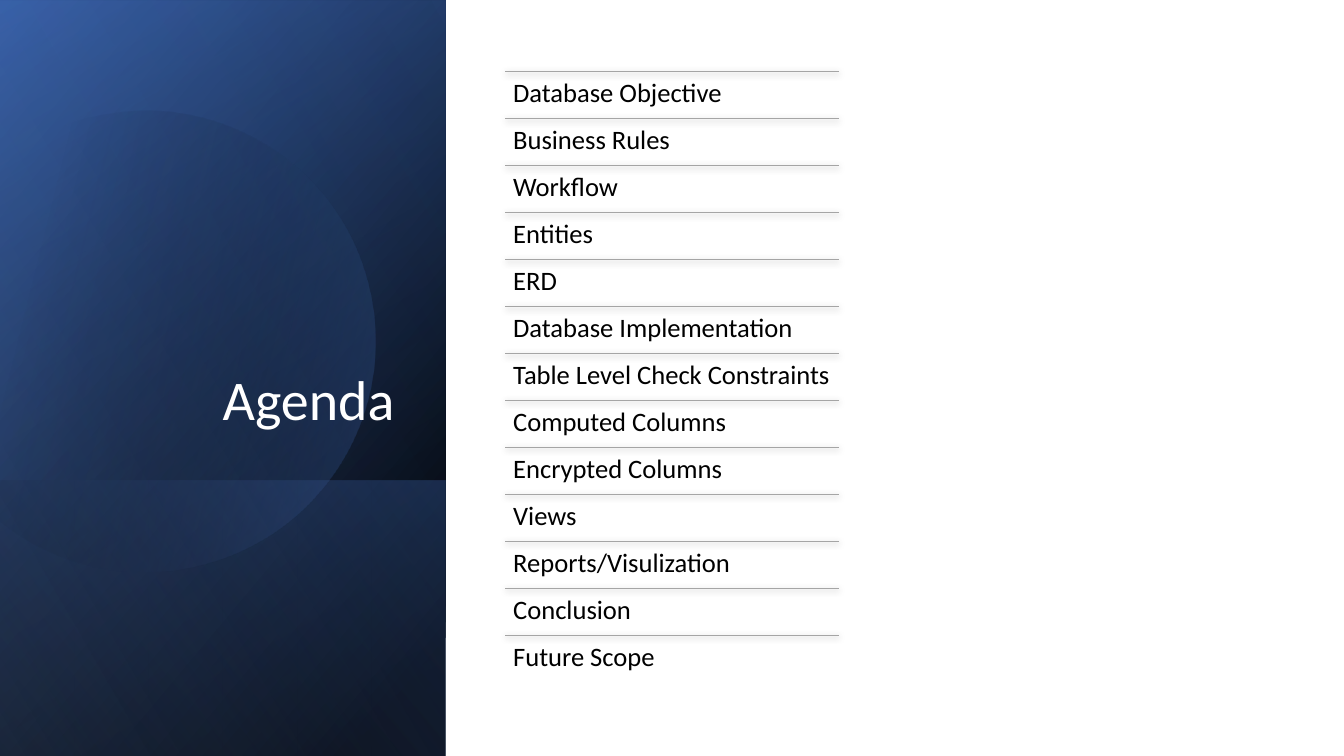
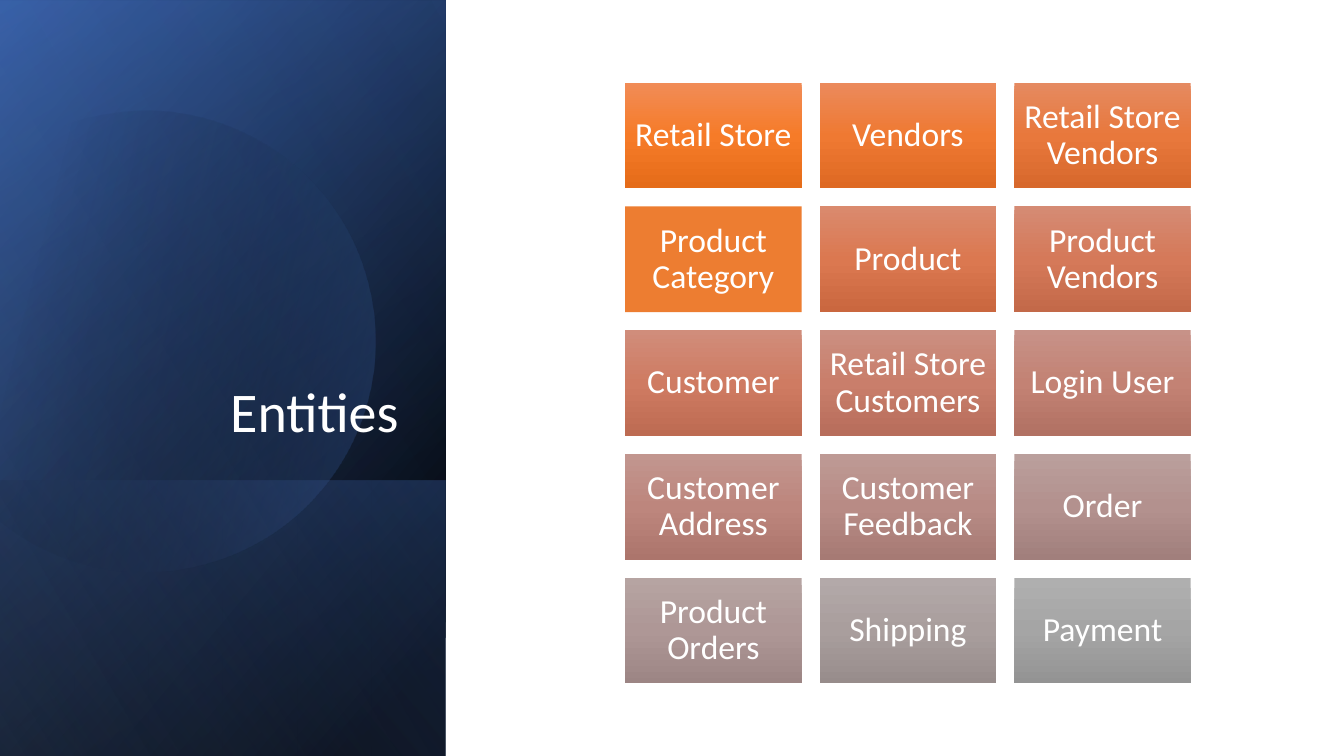
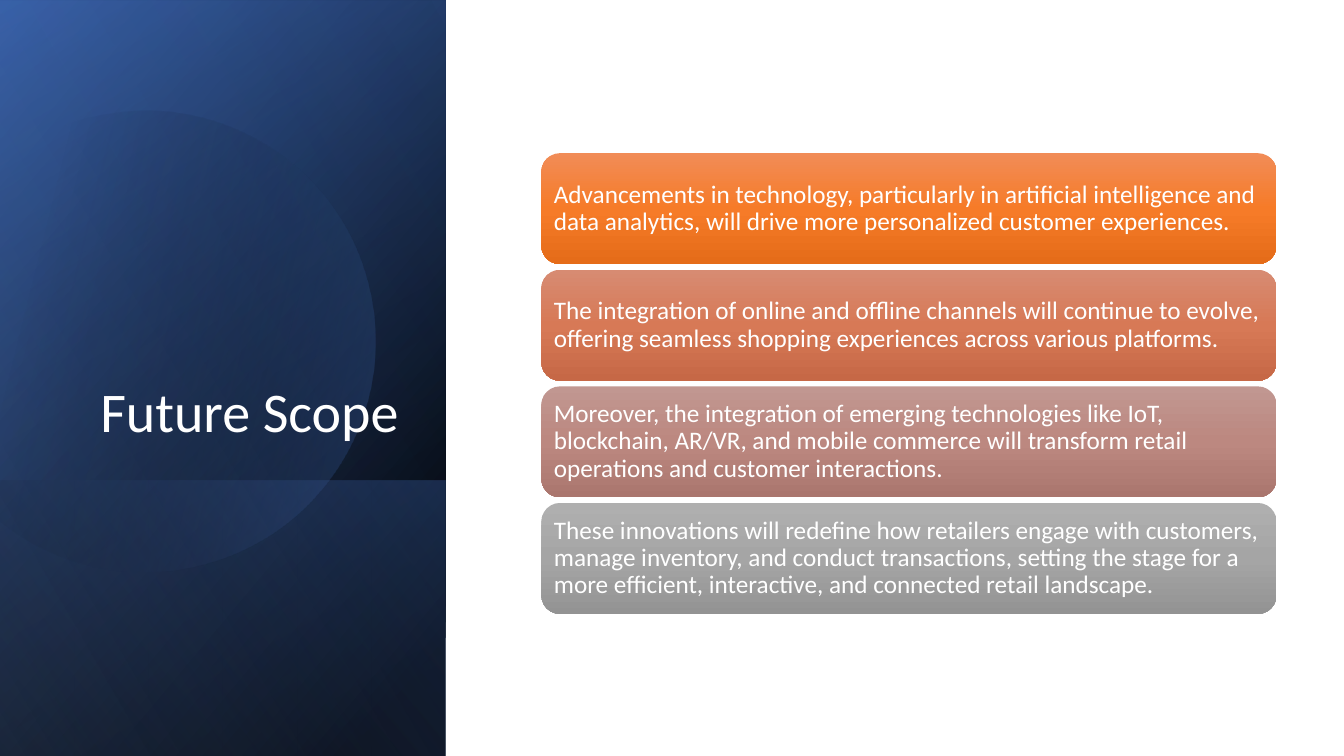
import math
from lxml import etree
from pptx import Presentation
from pptx import util as u
from pptx.dml.color import RGBColor
from pptx.enum import shapes, text
from pptx.oxml import ns

Inches = u.Inches
RECT = shapes.MSO_SHAPE.RECTANGLE
ROUND = shapes.MSO_SHAPE.ROUNDED_RECTANGLE
LEFT, MID, RIGHT = text.PP_ALIGN.LEFT, text.PP_ALIGN.CENTER, text.PP_ALIGN.RIGHT
TOP, CENTER, BOTTOM = (text.MSO_ANCHOR.TOP, text.MSO_ANCHOR.MIDDLE,
                       text.MSO_ANCHOR.BOTTOM)
FONT = "Calibri"
WHITE, BLACK, BLUE, GREY = "FFFFFF", "000000", "4472C4", "A5A5A5"


def paint(shape, stops, angle=90):
    """Fill with (position, colour, opacity) stops; a single stop is solid."""
    shape.shadow.inherit = False
    shape.line.fill.background()
    if len(stops) == 1:
        shape.fill.solid()
        shape.fill.fore_color.rgb = RGBColor.from_string(stops[0][1])
        return
    shape.fill.gradient()
    grad = shape._element.spPr.find(ns.qn("a:gradFill"))
    ramp = grad.find(ns.qn("a:gsLst"))
    for old in list(ramp):
        ramp.remove(old)
    for place, color, alpha in stops:
        stop = etree.SubElement(ramp, ns.qn("a:gs"), pos=str(place * 1000))
        tint = etree.SubElement(stop, ns.qn("a:srgbClr"), val=color)
        if alpha < 100:
            etree.SubElement(tint, ns.qn("a:alpha"), val=str(alpha * 1000))
    grad.find(ns.qn("a:lin")).set("ang", str(angle * 60000))


def write(shape, words, size, color, align, anchor, side, edge):
    """Put one paragraph in a shape; side and edge are insets in inches."""
    frame = shape.text_frame
    frame.word_wrap = True
    frame.vertical_anchor = anchor
    frame.margin_left = frame.margin_right = Inches(side)
    frame.margin_top = frame.margin_bottom = Inches(edge)
    para = frame.paragraphs[0]
    para.text = words
    para.alignment = align
    para.line_spacing = 0.9
    para.font.name = FONT
    para.font.size = u.Pt(size)
    para.font.color.rgb = RGBColor.from_string(color)


deck = Presentation()
deck.slide_width, deck.slide_height = Inches(13.33), Inches(7.5)

# Shared side panel: bands turned by 90 degrees, with a disc before the last
bands = [
    (-1.54, 1.54, 7.5, 50, [(8, BLACK, 100), (100, "2F5597", 100)]),
    (-1.54, 1.55, 7.5, 30, [(0, BLACK, 0), (99, BLUE, 46)]),
    (0.84, 3.93, 2.74, 130, [(2, BLUE, 29), (100, BLACK, 30)]),
    (-1.54, 1.54, 7.5, 120, [(0, BLACK, 0), (99, "8FAADC", 11)]),
]

# Disc outline as it lies on the slide; its frame is tilted by TILT degrees
TILT = -16.1
left, top, wide, high = 0.55 * -1, 1.06, 4.27, 4.57
disc = [
    ("moveTo", [(1.49, 1.1)]),
    ("cubicBezTo", [(2.46, 1.12), (3.35, 1.77), (3.63, 2.75)]),
    ("cubicBezTo", [(3.98, 3.97), (3.28, 5.23), (2.07, 5.58)]),
    ("cubicBezTo", [(1.31, 5.8), (0.53, 5.61), (-0.03, 5.14)]),
    ("lnTo", [(-0.15, 5.03)]),
    ("lnTo", [(-0.15, 1.75)]),
    ("lnTo", [(0, 1.61)]),
    ("cubicBezTo", [(0.23, 1.42), (0.5, 1.28), (0.8, 1.19)]),
    ("cubicBezTo", [(1.03, 1.13), (1.26, 1.1), (1.49, 1.1)]),
    ("close", []),
]
cos, sin = math.cos(math.radians(TILT)), math.sin(math.radians(TILT))
corners = [(Inches(x), Inches(y)) for x, y in
           [(left, top), (left + wide, top), (left + wide, top + high),
            (left, top + high)]]

titles = [
    ("Agenda", (0.51, 0.64, 3.5, 3.7)),
    ("Entities", (0.64, 1.84, 3.41, 2.62)),
    ("Future Scope", (0.64, 1.84, 3.41, 2.62)),
]

pages = []
for title, box in titles:
    page = deck.slides.add_slide(deck.slide_layouts[6])
    pages.append(page)
    for num, (x, y, span, angle, stops) in enumerate(bands):
        if num == 3:
            pen = page.shapes.build_freeform(*corners[0])
            pen.add_line_segments(corners[1:], close=True)
            moon = pen.convert_to_shape()
            moon.rotation = TILT
            # swap the straight sides for the curves, turned into the frame
            track = next(moon._element.iter(ns.qn("a:path")))
            for old in list(track):
                track.remove(old)
            for kind, points in disc:
                move = etree.SubElement(track, ns.qn("a:" + kind))
                for px, py in points:
                    dx, dy = px - left - wide / 2, py - top - high / 2
                    etree.SubElement(
                        move, ns.qn("a:pt"),
                        x=str(Inches(wide / 2 + dx * cos + dy * sin)),
                        y=str(Inches(high / 2 - dx * sin + dy * cos)))
            paint(moon, [(29, BLACK, 0), (100, BLUE, 43)], 30)
        band = page.shapes.add_shape(RECT, Inches(x), Inches(y),
                                     Inches(span), Inches(4.42))
        band.rotation = 90
        band._element.spPr.find(ns.qn("a:xfrm")).set("flipH", "1")
        paint(band, stops, angle)
    head = page.shapes.add_textbox(*map(Inches, box))
    write(head, title, 40, WHITE, RIGHT, BOTTOM, 0.1, 0.05)

agenda, entities, future = pages

# Agenda: ruled list
topics = ["Database Objective", "Business Rules", "Workflow", "Entities", "ERD",
          "Database Implementation", "Table Level Check Constraints",
          "Computed Columns", "Encrypted Columns", "Views",
          "Reports/Visulization", "Conclusion", "Future Scope"]
step = 5.59 / 12
for row, topic in enumerate(topics):
    y = Inches(0.71 + row * step)
    rule = agenda.shapes.add_connector(shapes.MSO_CONNECTOR.STRAIGHT,
                                       Inches(5.01), y, Inches(8.32), y)
    rule.line.color.rgb = RGBColor.from_string(GREY)
    rule.line.width = u.Pt(0.5)
    effect = etree.SubElement(rule._element.spPr, ns.qn("a:effectLst"))
    shade = etree.SubElement(effect, ns.qn("a:outerShdw"), dir="5400000",
                             blurRad=str(u.Pt(4.5)), dist=str(u.Pt(1.5)),
                             algn="ctr", rotWithShape="0")
    tint = etree.SubElement(shade, ns.qn("a:srgbClr"), val=BLACK)
    etree.SubElement(tint, ns.qn("a:alpha"), val="63000")
    item = agenda.shapes.add_textbox(Inches(5.01), y, Inches(3.31), Inches(step))
    write(item, topic, 19, BLACK, LEFT, TOP, 0.08, 0.08)

# Entities: three columns of tiles, each with its top, middle and bottom colour
tiles = [
    ("Retail Store", "F18C57 F67B28 E56C19"),
    ("Vendors", "EB8A5C EF7932 DE6923"),
    ("Retail Store Vendors", "E58A61 E8783C D7682C"),
    ("Product Category", "ED7D31"),
    ("Product", "DA8A6E DB7850 CA673F"),
    ("Product Vendors", "D58B74 D57959 C36949"),
    ("Customer", "D08D7B CF7B62 BD6B52"),
    ("Retail Store Customers", "CB8F81 C97E6B B76D5B"),
    ("Login User", "C79288 C38274 B17163"),
    ("Customer Address", "C2968F BD867D AC756C"),
    ("Customer Feedback", "BE9A95 B88B85 A67A74"),
    ("Order", "BA9F9C B3918E A17F7C"),
    ("Product Orders", "B6A4A2 AE9796 9C8584"),
    ("Shipping", "B3A9A9 A99E9D 978C8B"),
    ("Payment", "AFAFAF A5A5A5 939393"),
]
for num, (name, hues) in enumerate(tiles):
    row, col = divmod(num, 3)
    tile = entities.shapes.add_shape(RECT, Inches(6.2 + col * 1.93),
                                     Inches(0.82 + row * 4.91 / 4),
                                     Inches(1.75), Inches(1.05))
    paint(tile, [(50 * k, hue, 100) for k, hue in enumerate(hues.split())])
    write(tile, name, 24, WHITE, MID, CENTER, 0.1, 0.1)

# Future scope: stacked cards
cards = [
    ("Advancements in technology, particularly in artificial intelligence and "
     "data analytics, will drive more personalized customer experiences.",
     "F18C57 F67B28 E56C19"),
    ("The integration of online and offline channels will continue to evolve, "
     "offering seamless shopping experiences across various platforms.",
     "D78B72 D77956 C66846"),
    ("Moreover, the integration of emerging technologies like IoT, blockchain, "
     "AR/VR, and mobile commerce will transform retail operations and customer "
     "interactions.",
     "C19791 BC8880 AA766E"),
    ("These innovations will redefine how retailers engage with customers, "
     "manage inventory, and conduct transactions, setting the stage for a more "
     "efficient, interactive, and connected retail landscape.",
     "AFAFAF A5A5A5 939393"),
]
for row, (words, hues) in enumerate(cards):
    card = future.shapes.add_shape(ROUND, Inches(5.37),
                                   Inches(1.52 + row * 3.47 / 3),
                                   Inches(7.29), Inches(1.1))
    paint(card, [(50 * k, hue, 100) for k, hue in enumerate(hues.split())])
    # the rounded corner itself adds 0.05 inch of inset
    write(card, words, 18, WHITE, LEFT, CENTER, 0.07, 0.05)

deck.save("out.pptx")
